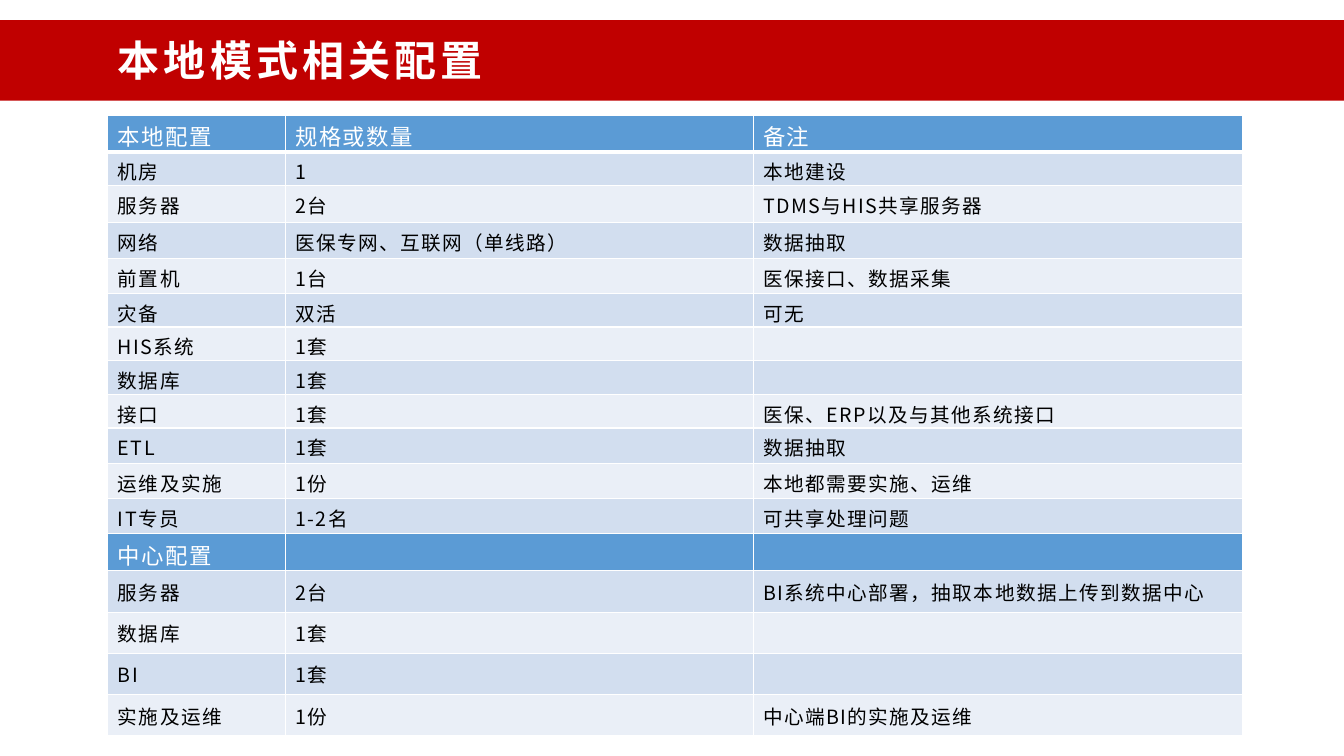
from lxml import etree
from pptx import Presentation
from pptx import util as u
from pptx.dml.color import RGBColor
from pptx.enum import shapes, text
from pptx.oxml import ns

TITLE = "本地模式相关配置"
SECTIONS = [
    (("本地配置", "规格或数量", "备注"), [
        ("机房", "1", "本地建设"),
        ("服务器", "2台", "TDMS与HIS共享服务器"),
        ("网络", "医保专网、互联网（单线路）", "数据抽取"),
        ("前置机", "1台", "医保接口、数据采集"),
        ("灾备", "双活", "可无"),
        ("HIS系统", "1套", ""),
        ("数据库", "1套", ""),
        ("接口", "1套", "医保、ERP以及与其他系统接口"),
        ("ETL", "1套", "数据抽取"),
        ("运维及实施", "1份", "本地都需要实施、运维"),
        ("IT专员", "1-2名", "可共享处理问题"),
    ]),
    (("中心配置", "", ""), [
        ("服务器", "2台", "BI系统中心部署，抽取本地数据上传到数据中心"),
        ("数据库", "1套", ""),
        ("BI", "1套", ""),
        ("实施及运维", "1份", "中心端BI的实施及运维"),
    ]),
]
COLORS = {"band": "C00000", "head": "5B9BD5", "odd": "D2DEEF", "even": "EAEFF7",
          "white": "FFFFFF", "black": "000000"}
FONT = "Noto Sans CJK SC"
WIDTH, HEIGHT = 13.33, 7.5
LEFT, TABLE_TOP = 1.07, 1.14
COLS = [1.76, 4.64, 4.85]
ROWS = [0.35, 0.33, 0.37, 0.35, 0.35] + [0.33] * 4 + [0.35] * 3 + [0.36] + [0.41] * 4


def color(name):
    return RGBColor.from_string(COLORS[name])


def write(tf, content, size, fill, bold=False, spacing=1):
    p = tf.paragraphs[0]
    if not content:
        p._p.get_or_add_endParaRPr().set("sz", str(size * 100))
        return
    r = p.add_run()
    r.text = content
    r.font.size, r.font.bold, r.font.name = u.Pt(size), bold, FONT
    r.font.color.rgb = color(fill)
    rPr = r._r.get_or_add_rPr()
    rPr.set("spc", str(spacing * 100))
    etree.SubElement(rPr, ns.qn("a:ea")).set("typeface", FONT)


def set_borders(cell, **widths):
    tcPr = cell._tc.get_or_add_tcPr()
    for side, width in widths.items():
        ln = etree.SubElement(tcPr, ns.qn(f"a:ln{side}"), w=str(u.Pt(width)))
        solid = etree.SubElement(ln, ns.qn("a:solidFill"))
        etree.SubElement(solid, ns.qn("a:srgbClr"), val=COLORS["white"])


def add_banner(s):
    group = s.shapes.add_group_shape()
    band = group.shapes.add_shape(shapes.MSO_SHAPE.RECTANGLE, 0, u.Inches(0.2),
                                  u.Inches(WIDTH), u.Inches(0.8))
    band.shadow.inherit = False
    band.fill.solid()
    band.fill.fore_color.rgb = color("band")
    band.line.fill.background()
    sp = group.shapes.add_textbox(u.Inches(LEFT), u.Inches(0.29), u.Inches(3.9), u.Inches(0.61))
    tf = sp.text_frame
    tf.word_wrap = False
    tf.auto_size = text.MSO_AUTO_SIZE.SHAPE_TO_FIT_TEXT
    write(tf, TITLE, 30, "white", bold=True, spacing=3)


def add_config_table(s):
    lines = []
    for head, items in SECTIONS:
        lines.append((head, "head"))
        lines += [(item, ("odd", "even")[i % 2]) for i, item in enumerate(items)]
    table = s.shapes.add_table(len(lines), len(COLS), u.Inches(LEFT), u.Inches(TABLE_TOP),
                               u.Inches(sum(COLS)), u.Inches(sum(ROWS))).table
    for col, width in zip(table.columns, COLS):
        col.width = u.Inches(width)
    for i, (values, kind) in enumerate(lines):
        table.rows[i].height = u.Inches(ROWS[i])
        size, ink = (16, "white") if kind == "head" else (14, "black")
        for j, value in enumerate(values):
            cell = table.cell(i, j)
            set_borders(cell, L=1, R=1, T=3 if i == 1 else 1, B=3 if i == 0 else 1)
            cell.fill.solid()
            cell.fill.fore_color.rgb = color(kind)
            cell.vertical_anchor = text.MSO_ANCHOR.MIDDLE
            write(cell.text_frame, value, size, ink)


def main():
    prs = Presentation()
    prs.slide_width, prs.slide_height = u.Inches(WIDTH), u.Inches(HEIGHT)
    s = prs.slides.add_slide(prs.slide_layouts[6])
    add_banner(s)
    add_config_table(s)
    prs.save("out.pptx")


if __name__ == "__main__":
    main()
